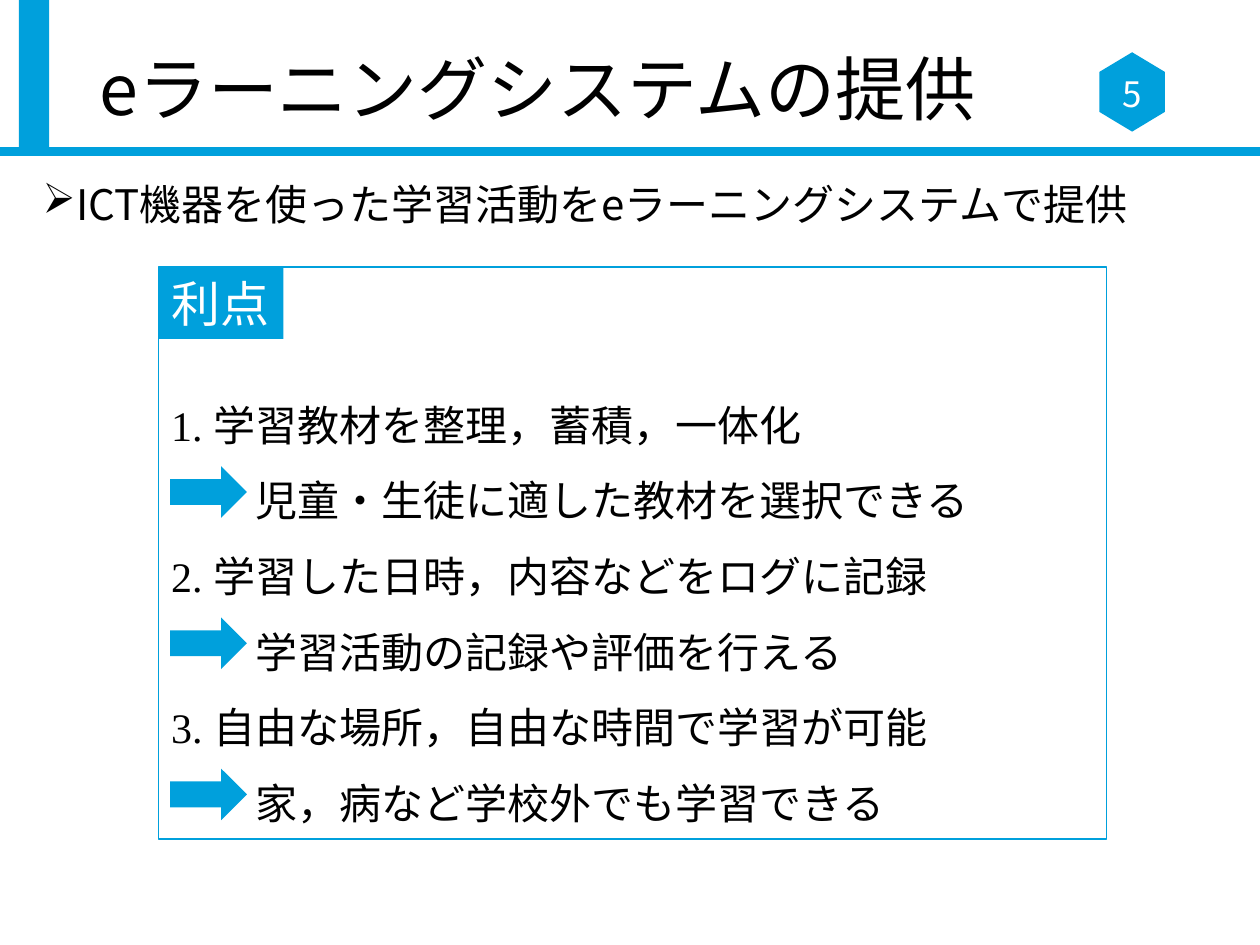
import pptx
import pptx.util
import pptx.dml.color
import pptx.enum.shapes
import pptx.enum.text
import pptx.oxml.ns
from dataclasses import dataclass
from lxml import etree

SHAPE = pptx.enum.shapes.MSO_SHAPE
ALIGN = pptx.enum.text.PP_ALIGN
ANCHOR = pptx.enum.text.MSO_ANCHOR
Pt, Inches, Emu = pptx.util.Pt, pptx.util.Inches, pptx.util.Emu
qn = pptx.oxml.ns.qn


@dataclass(frozen=True)
class Theme:
    accent: str = "00A0DC"
    ink: str = "000000"
    paper: str = "FFFFFF"
    sans: str = "Noto Sans CJK JP"
    serif: str = "Times New Roman"
    title: int = 40
    label: int = 28
    body: int = 24
    number: int = 20


def rgb(value):
    return pptx.dml.color.RGBColor.from_string(value)


class Deck:
    """Places elements on a grid of 100 columns by 75 rows."""
    COLS, ROWS = 100, 75

    def __init__(self, theme):
        self.theme = theme
        self.prs = pptx.Presentation()
        self.prs.slide_width, self.prs.slide_height = Inches(10), Inches(7.5)
        self.s = self.prs.slides.add_slide(self.prs.slide_layouts[6])

    def x(self, cols):
        return Emu(round(self.prs.slide_width * cols / self.COLS))

    def y(self, rows):
        return Emu(round(self.prs.slide_height * rows / self.ROWS))

    def box(self, left, top, width, height):
        return self.x(left), self.y(top), self.x(width), self.y(height)

    def shape(self, kind, at, fill=None, line=None, rotation=0):
        sp = self.s.shapes.add_shape(kind, *self.box(*at))
        sp.shadow.inherit = False
        sp.rotation = rotation
        if fill:
            sp.fill.solid()
            sp.fill.fore_color.rgb = rgb(fill)
        else:
            sp.fill.background()
        if line:
            sp.line.color.rgb = rgb(line)
            sp.line.width = Pt(0.75)
        else:
            sp.line.fill.background()
        return sp

    def rule(self, row, color, width):
        c = self.s.shapes.add_connector(
            pptx.enum.shapes.MSO_CONNECTOR.STRAIGHT,
            0, self.y(row), self.x(self.COLS), self.y(row))
        c.line.color.rgb = rgb(color)
        c.line.width = Pt(width)
        etree.SubElement(c._element.spPr, qn("a:effectLst"))

    def text(self, at, lines, size, color=None, font=None, frame=None, para=None):
        """Adds a text box; lines holds (text, left indent in columns) pairs."""
        tf = self.s.shapes.add_textbox(*self.box(*at)).text_frame
        for name, value in {"word_wrap": True, **(frame or {})}.items():
            setattr(tf, name, value)
        for i, (words, indent) in enumerate(lines):
            p = tf.paragraphs[0] if i == 0 else tf.add_paragraph()
            for name, value in (para or {}).items():
                setattr(p, name, value)
            if indent:
                p._p.get_or_add_pPr().set("marL", str(int(self.x(indent))))
            r = p.add_run()
            r.text = words
            style = {"size": Pt(size), "name": font or self.theme.sans}
            for name, value in style.items():
                setattr(r.font, name, value)
            r.font.color.rgb = rgb(color or self.theme.ink)
            ea = etree.SubElement(r._r.get_or_add_rPr(), qn("a:ea"))
            ea.set("typeface", self.theme.sans)
        return tf

    def bullet(self, p, char, hang):
        pPr = p._p.get_or_add_pPr()
        pPr.set("indent", str(-int(self.x(hang))))
        etree.SubElement(pPr, qn("a:buChar")).set("char", char)


def main():
    t = Theme()
    d = Deck(t)

    # Header band, title and page number
    d.rule(12, t.accent, 5)
    d.shape(SHAPE.RECTANGLE, (1.5, 0, 2.4, 12), t.accent)
    hexagon = d.shape(SHAPE.HEXAGON, (86.7, 4.7, 6.3, 5.2), t.accent, rotation=90)
    hexagon.adjustments[0] = 0.3
    middle = {"vertical_anchor": ANCHOR.MIDDLE}
    d.text((6.9, 2.7, 86.2, 9.3), [("eラーニングシステムの提供", 0)], t.title,
           frame=middle, para={"line_spacing": 0.9})
    d.text((85.8, 5.4, 8.1, 4), [("5", 0)], t.number, t.paper,
           frame=middle, para={"alignment": ALIGN.CENTER})

    # Lead sentence
    lead = d.text((2.4, 14.1, 95.2, 5.7),
                  [("ICT機器を使った学習活動をeラーニングシステムで提供", 2.5)], t.body,
                  para={"line_spacing": 0.9, "space_before": Pt(10)})
    d.bullet(lead.paragraphs[0], "➢", 2.5)

    # Framed list of benefits, each followed by its result
    left, top, width, height = frame = (12.6, 21.2, 75.2, 45.4)
    pitch = 6
    benefits = [
        ("学習教材を整理，蓄積，一体化", "児童・生徒に適した教材を選択できる"),
        ("学習した日時，内容などをログに記録", "学習活動の記録や評価を行える"),
        ("自由な場所，自由な時間で学習が可能", "家，病など学校外でも学習できる"),
    ]
    lines = []
    for n, (benefit, result) in enumerate(benefits, 1):
        lines += [(f"{n}. {benefit}", 0), (result, 6.7)]
    d.shape(SHAPE.RECTANGLE, frame, line=t.accent)
    d.text(frame, lines, t.body, font=t.serif,
           frame={"vertical_anchor": ANCHOR.BOTTOM, "margin_bottom": d.y(0.9)},
           para={"line_spacing": d.y(pitch)})
    d.shape(SHAPE.RECTANGLE, (left, top, 9.9, 5.7), t.accent)
    d.text((left, top, 9.9, 5.7), [("利点", 0)], t.label, t.paper, t.serif,
           {"word_wrap": False, "vertical_anchor": ANCHOR.MIDDLE})
    for i in range(len(benefits)):
        d.shape(SHAPE.RIGHT_ARROW, (13.5, 37 + 2 * pitch * i, 6.1, 4.1), t.accent)

    d.prs.save("out.pptx")


if __name__ == "__main__":
    main()
